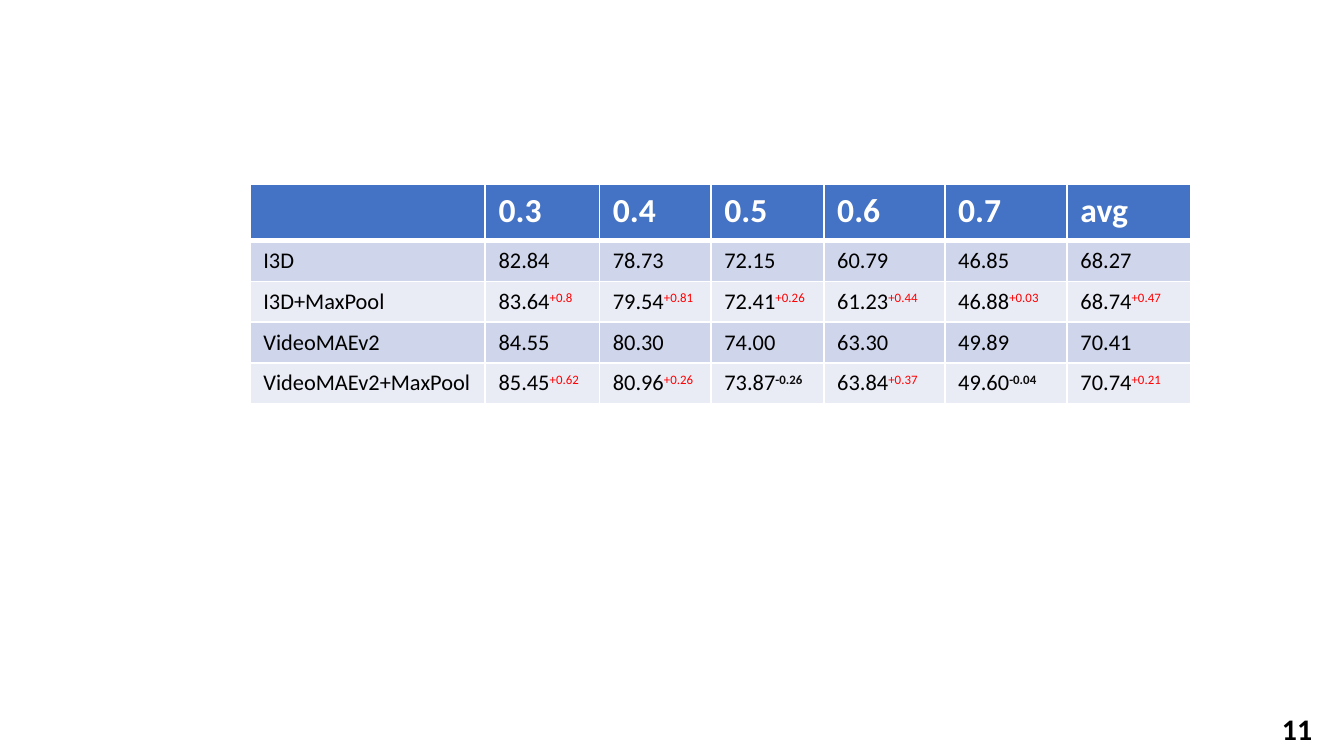
"""Build a slide comparing detection scores with and without MaxPool."""
from lxml.etree import SubElement
from pptx import Presentation
from pptx.dml.color import RGBColor as Color
from pptx.oxml.ns import qn
from pptx.util import Inches, Pt

HEADER = ["", "0.3", "0.4", "0.5", "0.6", "0.7", "avg"]
SCORES = [
    ("I3D", ["82.84", "78.73", "72.15", "60.79", "46.85", "68.27"], []),
    ("I3D+MaxPool", ["83.64", "79.54", "72.41", "61.23", "46.88", "68.74"],
     ["+0.8", "+0.81", "+0.26", "+0.44", "+0.03", "+0.47"]),
    ("VideoMAEv2", ["84.55", "80.30", "74.00", "63.30", "49.89", "70.41"], []),
    ("VideoMAEv2+MaxPool", ["85.45", "80.96", "73.87", "63.84", "49.60", "70.74"],
     ["+0.62", "+0.26", "-0.26", "+0.37", "-0.04", "+0.21"]),
]
PAGE_NUMBER = "11"
SLIDE_WIDTH = Inches(10)
SLIDE_HEIGHT = SLIDE_WIDTH * 9 // 16
COLUMN_WIDTHS = [1.75, 0.85, 0.83, 0.84, 0.9, 0.91, 0.92]
ROW_HEIGHTS = [0.42] + [0.3] * len(SCORES)
TABLE_LEFT, TABLE_TOP = 1.86, 1.37

THEME = {
    "font": "Calibri",
    "border": "FFFFFF",
    "header_fill": "4472C4",
    "bands": ["CFD5EA", "E9EBF5"],
    "header": {"size": 18, "color": "FFFFFF", "bold": True},
    "body": {"size": 12, "color": "000000", "bold": False},
    "gain": {"size": 12, "color": "FF0000", "bold": False, "baseline": 30},
    "loss": {"size": 12, "color": "0D0D0D", "bold": True, "baseline": 30},
    "page": {"size": 16, "color": "000000", "bold": True},
}


def add_run(paragraph, text, style):
    look = THEME[style]
    run = paragraph.add_run()
    run.text = text
    formats = {"name": THEME["font"], "size": Pt(look["size"]), "bold": look["bold"]}
    for name, value in formats.items():
        setattr(run.font, name, value)
    run.font.color.rgb = Color.from_string(look["color"])
    if "baseline" in look:
        run.font._element.set("baseline", str(look["baseline"] * 1000))


def style_cell(cell, fill, top, bottom):
    properties = cell._tc.get_or_add_tcPr()
    for side, width in {"lnL": 1, "lnR": 1, "lnT": top, "lnB": bottom}.items():
        line = SubElement(properties, qn(f"a:{side}"), w=str(Pt(width)))
        solid = SubElement(line, qn("a:solidFill"))
        SubElement(solid, qn("a:srgbClr"), val=THEME["border"])
    cell.fill.solid()
    cell.fill.fore_color.rgb = Color.from_string(fill)


def add_score_table(slide):
    frame = slide.shapes.add_table(
        len(ROW_HEIGHTS), len(COLUMN_WIDTHS), Inches(TABLE_LEFT), Inches(TABLE_TOP),
        Inches(sum(COLUMN_WIDTHS)), Inches(sum(ROW_HEIGHTS)))
    table = frame.table
    for column, width in zip(table.columns, COLUMN_WIDTHS):
        column.width = Inches(width)
    for row, height in zip(table.rows, ROW_HEIGHTS):
        row.height = Inches(height)

    for cell, label in zip(table.rows[0].cells, HEADER):
        style_cell(cell, THEME["header_fill"], 1, 3)
        if label:
            add_run(cell.text_frame.paragraphs[0], label, "header")

    for index, (model, values, changes) in enumerate(SCORES):
        cells = list(table.rows[index + 1].cells)
        for cell, text in zip(cells, [model] + values):
            style_cell(cell, THEME["bands"][index % 2], 1 if index else 3, 1)
            add_run(cell.text_frame.paragraphs[0], text, "body")
        for cell, change in zip(cells[1:], changes):
            style = "gain" if change.startswith("+") else "loss"
            add_run(cell.text_frame.paragraphs[0], change, style)


def main():
    presentation = Presentation()
    presentation.slide_width = SLIDE_WIDTH
    presentation.slide_height = SLIDE_HEIGHT
    slide = presentation.slides.add_slide(presentation.slide_layouts[6])
    add_score_table(slide)
    page_box = slide.shapes.add_textbox(
        Inches(9.44), Inches(5.24), Inches(0.47), Inches(0.32))
    page_box.text_frame.word_wrap = True
    add_run(page_box.text_frame.paragraphs[0], PAGE_NUMBER, "page")
    presentation.save("out.pptx")


if __name__ == "__main__":
    main()
